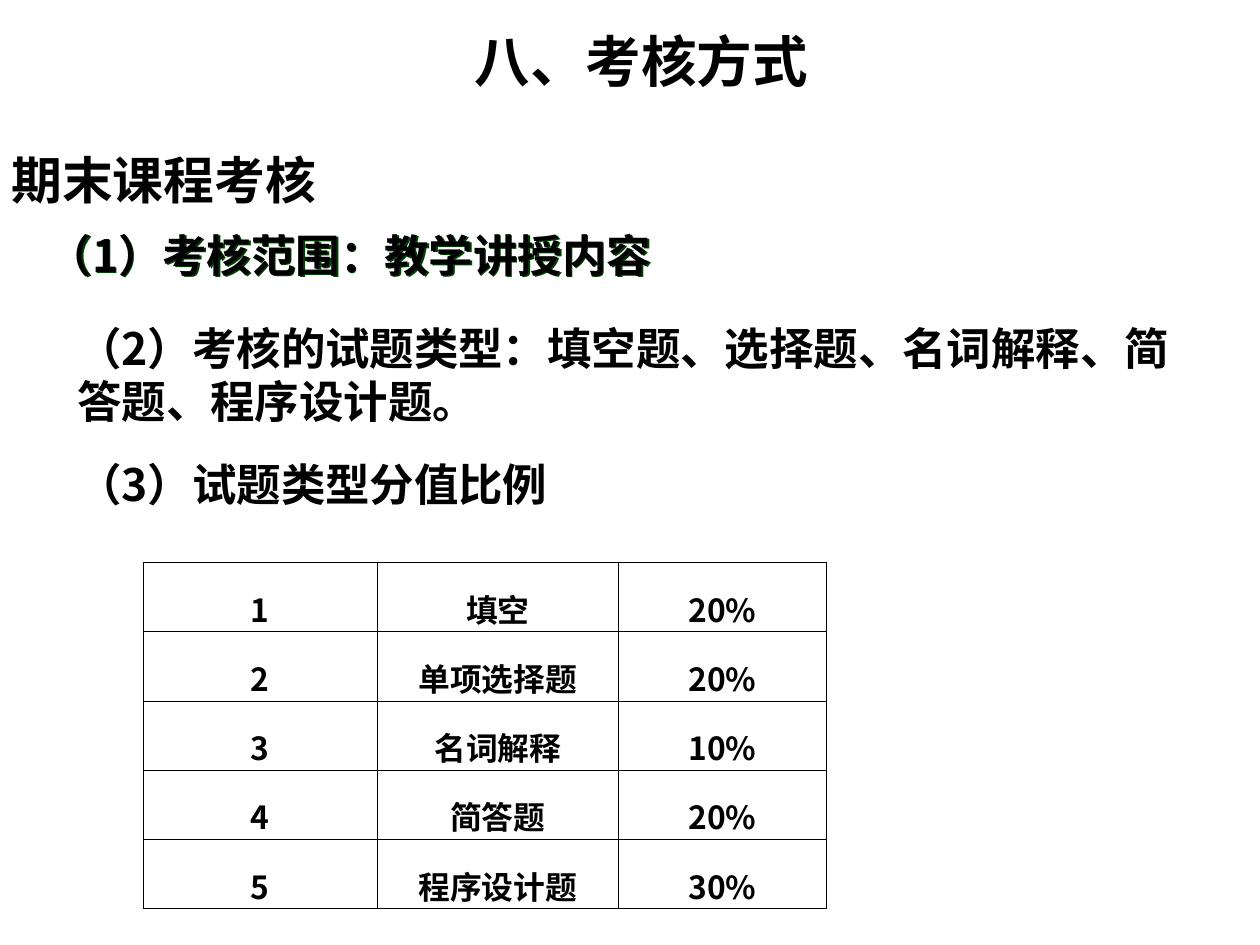
"""Build the course assessment slide with its question score table."""
from lxml.etree import SubElement
from pptx import Presentation
from pptx.dml.color import RGBColor as RGB
from pptx.enum.text import MSO_ANCHOR as ANC, PP_ALIGN as AL
from pptx.oxml.ns import qn
from pptx.util import Cm, Pt

COLORS = {"text": "000000", "border": "000000", "shadow": "004000"}
CJK = "Noto Sans CJK SC"
TITLE = ("八、考核方式", (3.17, 0.76, 22.17, 1.9), 35)
HEADING = ("期末课程考核", (0, 3.18, 28.7, 1.63), 32)
SCOPE = ("（1）考核范围：教学讲授内容", (0.81, 4.93, 14.4, 1.45), 28)
ITEMS = [
    ("（2）考核的试题类型：填空题、选择题、名词解释、简答题、程序设计题。",
     (1.47, 7.01, 24.89, 2.64), 28),
    ("（3）试题类型分值比例", (1.47, 10.03, 15.01, 1.45), 28),
]
SCORES = [("填空", "20%"), ("单项选择题", "20%"), ("名词解释", "10%"),
          ("简答题", "20%"), ("程序设计题", "30%")]
TABLE_LEFT, TABLE_TOP, ROW_HEIGHT = 3.18, 12.5, 1.53
COL_WIDTHS = (5.21, 5.35, 4.63)


def style(p, size, font=CJK, spacing=None, align=AL.LEFT):
    p.alignment = align
    p.line_spacing = spacing
    for r in p.runs:
        r.font.size, r.font.bold, r.font.name = Pt(size), True, font
        r.font.color.rgb = RGB.from_string(COLORS["text"])
        SubElement(r.font._element, qn("a:ea"), typeface=CJK)


def fill_box(sp, content, anchor=ANC.TOP, **look):
    text, box, size = content
    sp.left, sp.top, sp.width, sp.height = map(Cm, box)
    tf = sp.text_frame
    tf.text = text
    tf.word_wrap = True
    tf.vertical_anchor = anchor
    style(tf.paragraphs[0], size, **look)
    return sp


def add_text(slide, content, **look):
    return fill_box(slide.shapes.add_textbox(0, 0, 0, 0), content, **look)


def add_shadow(sp):
    effects = SubElement(sp._element.spPr, qn("a:effectLst"))
    shadow = SubElement(effects, qn("a:outerShdw"), dist="18000", dir="2700000")
    SubElement(shadow, qn("a:srgbClr"), val=COLORS["shadow"])


def add_borders(cell):
    tc_pr = cell._tc.get_or_add_tcPr()
    for side in ("lnL", "lnR", "lnT", "lnB"):
        ln = SubElement(tc_pr, qn(f"a:{side}"), w=str(Pt(0.45)))
        fill = SubElement(ln, qn("a:solidFill"))
        SubElement(fill, qn("a:srgbClr"), val=COLORS["border"])


def add_scores(slide):
    rows = [(str(i), *row) for i, row in enumerate(SCORES, 1)]
    table = slide.shapes.add_table(
        len(rows), len(COL_WIDTHS), Cm(TABLE_LEFT), Cm(TABLE_TOP),
        Cm(sum(COL_WIDTHS)), Cm(ROW_HEIGHT * len(rows))).table
    table.first_row = table.horz_banding = False
    for col, width in zip(table.columns, COL_WIDTHS):
        col.width = Cm(width)
    for i, row in enumerate(rows):
        table.rows[i].height = Cm(ROW_HEIGHT)
        for j, text in enumerate(row):
            cell = table.cell(i, j)
            cell.text = text
            cell.margin_left = cell.margin_right = Cm(0.2)
            cell.margin_top = cell.margin_bottom = 0
            add_borders(cell)
            cell.fill.background()
            style(cell.text_frame.paragraphs[0], 20, spacing=1.5, align=AL.CENTER)


def main():
    prs = Presentation()
    prs.slide_width, prs.slide_height = Cm(28), Cm(21)
    slide = prs.slides.add_slide(prs.slide_layouts[5])
    add_scores(slide)
    add_text(slide, HEADING, font="Calibri")
    add_shadow(add_text(slide, SCOPE, anchor=ANC.MIDDLE))
    for item in ITEMS:
        add_text(slide, item)
    fill_box(slide.shapes.title, TITLE, spacing=0.8, align=AL.CENTER)
    prs.save("out.pptx")


if __name__ == "__main__":
    main()
